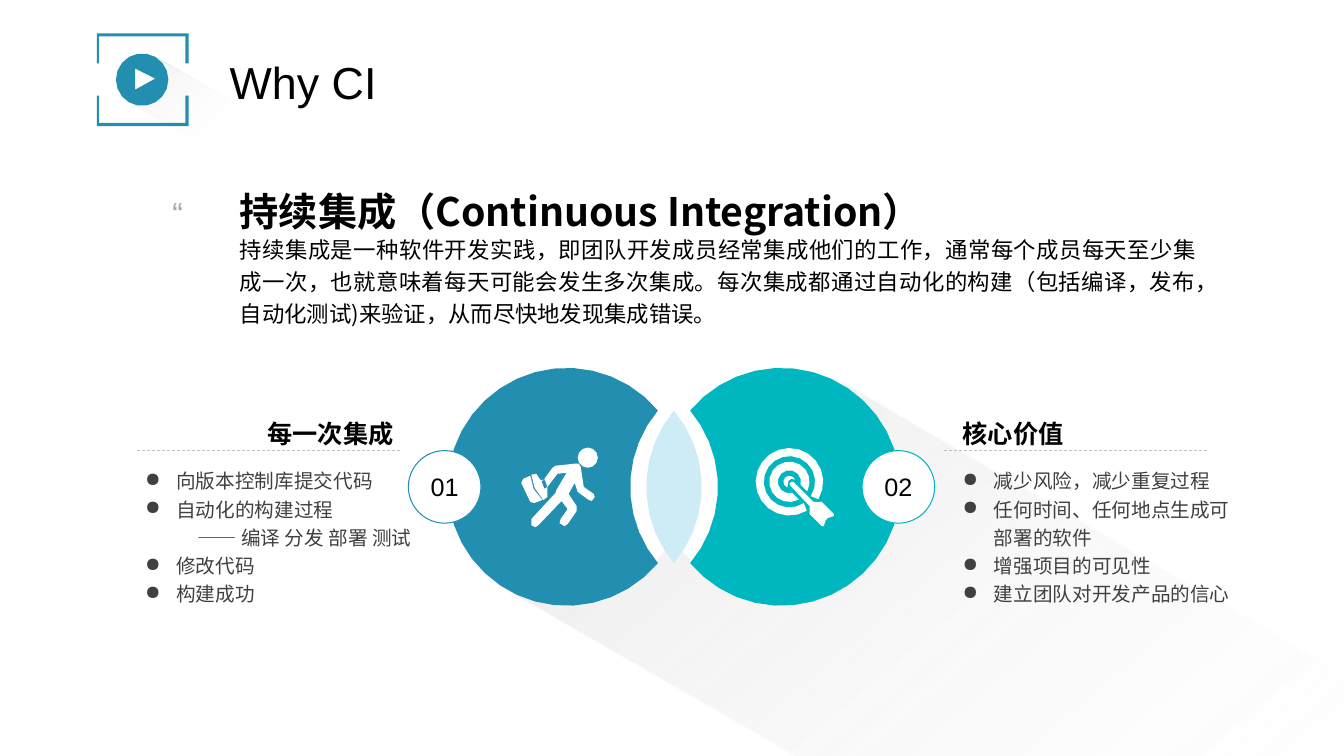
"""Build the "Why CI" slide with two interlocking circles and their key points."""
from math import acos, ceil, cos, radians, sin

from lxml.etree import SubElement
from pptx import Presentation
from pptx.dml.color import RGBColor
from pptx.enum.dml import MSO_LINE
from pptx.enum.shapes import MSO_CONNECTOR, MSO_SHAPE
from pptx.enum.text import MSO_ANCHOR, PP_ALIGN as ALIGN
from pptx.oxml.ns import qn
from pptx.util import Pt

PX = 9144
CJK = "Noto Sans CJK SC"
COLORS = {name: RGBColor.from_string(value) for name, value in {
    "blue": "228EB0", "teal": "00B6BF", "lens": "CDECF5", "white": "FFFFFF",
    "black": "000000", "body": "404040", "quote": "A6A6A6", "rule": "BFBFBF",
}.items()}

deck = Presentation()
deck.slide_width, deck.slide_height = 1333 * PX, 750 * PX
slide = deck.slides.add_slide(deck.slide_layouts[6])
shapes = slide.shapes


def arc(x, y, radius, start, end):
    sweep = radians(end - start)
    steps = ceil(abs(sweep) / (2 * acos(1 - 0.4 / radius)))
    angles = [radians(start) + sweep * i / steps for i in range(steps + 1)]
    return [(x + radius * cos(a), y + radius * sin(a)) for a in angles]


def outline(contours, color):
    builder = None
    for contour in contours:
        points = [(x * PX, y * PX) for x, y in contour]
        if builder is None:
            builder = shapes.build_freeform(*points[0])
        else:
            builder.move_to(*points[0])
        builder.add_line_segments(points[1:], close=True)
    figure = builder.convert_to_shape()
    figure.shadow.inherit = False
    figure.fill.solid()
    figure.fill.fore_color.rgb = COLORS[color]
    figure.line.fill.background()
    return figure


MID, R = 483, 118
LEFT, RIGHT = 562, 775
circles_shadow = [(833, 379), (1393, 705), (1223, 999), (498, 583), (562, 601),
                  (621, 585), (659, 549), (669, 532), (678, 549), (716, 585),
                  (775, 601), (858, 566), (893, 483), (877, 424)]
logo_shadow = [(127, 100), (152, 85), (154, 56), (232, 101), (206, 145)]
TILT = 30
c, s = cos(radians(TILT)), sin(radians(TILT))
for edge, cx, cy, stops in [
    (circles_shadow, 946, 643, [(0, "BFBFBF", 40), (85, "F2F2F2", 0), (100, "FFFFFF", 0)]),
    (logo_shadow, 180, 101, [(0, "D9D9D9", 50), (85, "FFFFFF", 0), (100, "FFFFFF", 0)]),
]:
    level = [(cx + (x - cx) * c + (y - cy) * s, cy - (x - cx) * s + (y - cy) * c)
             for x, y in edge]
    cast = outline([level], "white")
    cast.rotation = TILT
    cast.fill.gradient()
    cast.fill.gradient_angle = 340
    stop_list = next(cast.element.iter(qn("a:gsLst")))
    for old in list(stop_list):
        stop_list.remove(old)
    for position, value, opacity in stops:
        stop = SubElement(stop_list, qn("a:gs"), pos=str(position * 1000))
        tint = SubElement(stop, qn("a:srgbClr"), val=value)
        SubElement(tint, qn("a:alpha"), val=str(opacity * 1000))

outline([
    [(96, 95), (98, 95), (98, 122), (184, 122), (184, 95), (187, 95), (187, 125), (96, 125)],
    [(96, 33), (187, 33), (187, 63), (184, 63), (184, 36), (98, 36), (98, 63), (96, 63)],
], "blue")
outline([[(134, 68), (134, 89), (154, 78)], arc(141, 79, 26, 0, 360)], "blue")

outline([arc(578, MID, R, -40, 40) + arc(759, MID, R, 140, 220)], "lens")
outline([arc(LEFT, MID, R, 40, 320) + arc(743, MID, R, 220, 140)], "blue")
outline([arc(RIGHT, MID, R, -140, 140) + arc(594, MID, R, 40, -40)], "teal")

for rule_left, badge_left, number, color in [(136, 405, "01", "blue"), (936, 855, "02", "teal")]:
    rule = shapes.add_connector(MSO_CONNECTOR.STRAIGHT, rule_left * PX, 447 * PX,
                                (rule_left + 261) * PX, 447 * PX)
    rule.line.color.rgb = COLORS["rule"]
    rule.line.width = Pt(0.5)
    rule.line.dash_style = MSO_LINE.DASH
    SubElement(rule.element.spPr, qn("a:effectLst"))
    badge = shapes.add_shape(MSO_SHAPE.OVAL, badge_left * PX, 447 * PX, 72 * PX, 72 * PX)
    badge.shadow.inherit = False
    badge.fill.solid()
    badge.fill.fore_color.rgb = COLORS["white"]
    badge.line.color.rgb = COLORS[color]
    badge.line.width = Pt(0.75)
    badge.text_frame.vertical_anchor = MSO_ANCHOR.MIDDLE
    label = badge.text_frame.paragraphs[0]
    label.alignment = ALIGN.CENTER
    run = label.add_run()
    run.text = number
    run.font.name, run.font.size = "Arial", Pt(18)
    run.font.color.rgb = COLORS["black"]

case_back = [(526, 472), (529, 484), (530, 486), (538, 496), (530, 499),
             (526, 498), (517, 479), (519, 475)]
case_front = [(532, 470), (536, 476), (540, 476), (537, 477), (540, 485), (543, 483),
              (543, 493), (539, 496), (531, 485), (530, 483), (527, 471)]
runner = [(570, 460), (574, 460), (576, 463), (579, 483), (589, 490), (590, 493),
          (587, 497), (584, 496), (573, 488), (570, 479), (564, 490), (572, 502),
          (572, 507), (563, 520), (560, 522), (555, 519), (556, 515), (563, 505),
          (557, 497), (534, 521), (531, 523), (527, 521), (527, 515), (551, 489),
          (552, 486), (562, 469), (553, 470), (543, 483), (540, 475), (548, 464), (551, 462)]
outline([case_back, case_front, runner, arc(583, 454, 10, 0, 360)], "white")

arrow = [(785, 478), (787, 478), (807, 498), (815, 498), (827, 510), (827, 512),
         (821, 514), (819, 516), (817, 522), (815, 522), (803, 510), (803, 502),
         (784, 482), (783, 480)]
outline([
    arrow,
    arc(783, 478, 6, 110, 340) + [(785, 475), (782, 477)],
    arc(783, 478, 20, 62, 388) + arc(783, 478, 11.5, 375, 75),
    arc(783, 478, 33.5, 59, 391) + arc(783, 478, 25.5, 394, 56),
], "white")

BULLET, INDENT, PLAIN = "bullet", "indent", "plain"
for left, top, width, height, font, size, color, bold, align, spacing, wrap, lines in [
    (158, 186, 54, 45, "Arial", 22.8, "quote", False, ALIGN.LEFT, 1, False, [(PLAIN, "“")]),
    (218, 49, 167, 64, "Arial", 32, "black", False, ALIGN.LEFT, 1, False, [(PLAIN, "Why CI")]),
    (228, 224, 969, 104, CJK, 16, "black", False, ALIGN.JUSTIFY, 1.2, True, [
        (PLAIN, "持续集成是一种软件开发实践，即团队开发成员经常集成他们的工作，"
                "通常每个成员每天至少集成一次，也就意味着每天可能会发生多次集成。"
                "每次集成都通过自动化的构建（包括编译，发布，自动化测试)来验证，"
                "从而尽快地发现集成错误。")]),
    (228, 172, 862, 100, CJK, 28, "black", True, ALIGN.JUSTIFY, 1.2, True,
     [(PLAIN, "持续集成（Continuous Integration）")]),
    (945, 404, 245, 44, "Arial", 18, "black", True, ALIGN.JUSTIFY, 1.2, True,
     [(PLAIN, "核心价值")]),
    (155, 404, 245, 44, "Arial", 18, "black", True, ALIGN.RIGHT, 1.2, True,
     [(PLAIN, "每一次集成")]),
    (945, 456, 290, 177, "Arial", 14, "body", False, ALIGN.LEFT, 1.2, True, [
        (BULLET, "减少风险，减少重复过程"),
        (BULLET, "任何时间、任何地点生成可部署的软件"),
        (BULLET, "增强项目的可见性"),
        (BULLET, "建立团队对开发产品的信心")]),
    (134, 456, 365, 177, "Arial", 14, "body", False, ALIGN.LEFT, 1.2, True, [
        (BULLET, "向版本控制库提交代码"),
        (BULLET, "自动化的构建过程"),
        (INDENT, "—— 编译 分发 部署 测试"),
        (BULLET, "修改代码"),
        (BULLET, "构建成功")]),
]:
    passage = shapes.add_textbox(left * PX, top * PX, width * PX, height * PX).text_frame
    passage.word_wrap = wrap
    if color == "quote":
        passage.margin_left = passage.margin_right = 13 * PX
        passage.margin_top = passage.margin_bottom = 6 * PX
    for i, (style, words) in enumerate(lines):
        line = passage.add_paragraph() if i else passage.paragraphs[0]
        line.alignment, line.line_spacing = align, spacing
        layout = line._p.get_or_add_pPr()
        if style == BULLET:
            layout.set("marL", str(31 * PX))
            layout.set("indent", str(-31 * PX))
            SubElement(layout, qn("a:buChar"), char="●")
        elif style == INDENT:
            layout.set("marL", str(52 * PX))
        run = line.add_run()
        run.text = words
        run.font.name, run.font.size, run.font.bold = font, Pt(size), bold
        run.font.color.rgb = COLORS[color]
        if spacing > 1:
            SubElement(run._r.get_or_add_rPr(), qn("a:ea"), typeface=CJK)

deck.save("out.pptx")
